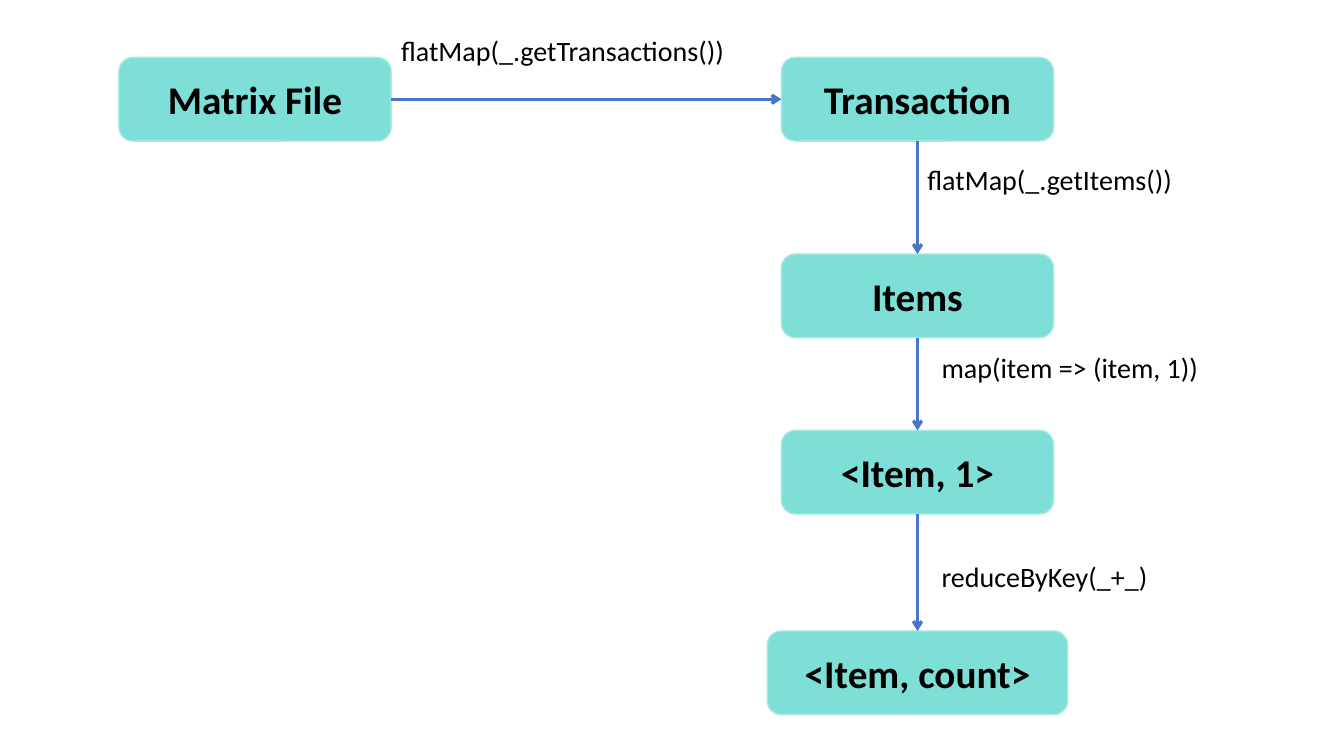
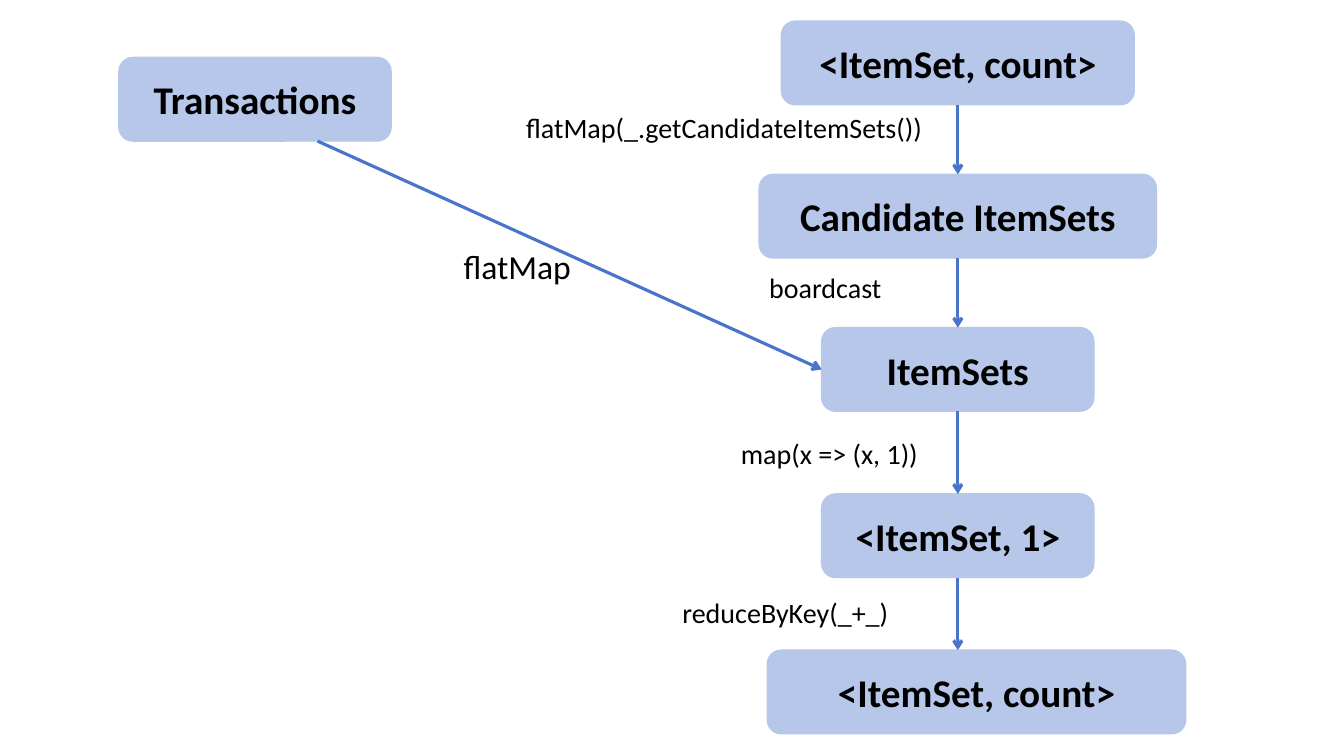
from itertools import pairwise

from pptx import Presentation
from pptx.dml.color import RGBColor
from pptx.enum.shapes import MSO_CONNECTOR, MSO_SHAPE
from pptx.enum.text import MSO_ANCHOR, PP_ALIGN
from pptx.oxml.ns import qn
from pptx.util import Inches, Pt
from lxml.etree import SubElement

FONT = "Calibri"
INK = "000000"
BLUE = "4874CB"
TALL = 0.83
TOP, BOTTOM, LEFT, RIGHT = 0, 2, 1, 3
tint = RGBColor.from_string


def write(shape, text, size, bold=False):
    frame = shape.text_frame
    frame.word_wrap = True
    run = frame.paragraphs[0].add_run()
    run.text = text
    run.font.name = FONT
    run.font.size = Pt(size)
    run.font.bold = bold
    run.font.color.rgb = tint(INK)


def arrow(slide, x1, y1, x2, y2):
    line = slide.shapes.add_connector(
        MSO_CONNECTOR.STRAIGHT, Inches(x1), Inches(y1), Inches(x2), Inches(y2))
    line.line.color.rgb = tint(BLUE)
    line.line.width = Pt(2.25)
    SubElement(line.line._get_or_add_ln(), qn("a:tailEnd"), type="arrow")
    SubElement(line._element.spPr, qn("a:effectLst"))
    return line


pages = [
    {
        "fill": "7DDFD7", "edge": "A9E9E4", "mid": 9.1,
        "boxes": [
            ("Matrix File", 1.18, 0.57, 2.7),
            ("Transaction", 7.75, 0.57, 2.7),
            ("Items", 7.75, 2.52, 2.7),
            ("<Item, 1>", 7.75, 4.27, 2.7),
            ("<Item, count>", 7.61, 6.26, 2.98),
        ],
        "feed": (3.88, 0.99, 1),
        "notes": [
            ("flatMap(_.getTransactions())", 3.88, 0.28, 3.94, 0.44, 20),
            ("flatMap(_.getItems())", 9.1, 1.56, 3.94, 0.44, 20),
            ("map(item => (item, 1))", 9.24, 3.43, 3.94, 0.44, 20),
            ("reduceByKey(_+_)", 9.24, 5.5, 3.94, 0.44, 20),
        ],
    },
    {
        "fill": "B6C7EA", "edge": "B6C7EA", "mid": 9.5,
        "boxes": [
            ("Transactions", 1.18, 0.57, 2.7),
            ("<ItemSet, count>", 7.75, 0.21, 3.5),
            ("Candidate ItemSets", 7.53, 1.73, 3.94),
            ("ItemSets", 8.15, 3.25, 2.7),
            ("<ItemSet, 1>", 8.15, 4.9, 2.7),
            ("<ItemSet, count>", 7.61, 6.45, 4.15),
        ],
        "feed": (3.15, 1.4, 3),
        "notes": [
            ("flatMap", 4.5, 2.39, 2.17, 0.68, 24),
            ("flatMap(_.getCandidateItemSets())", 5.12, 1.05, 4.73, 0.44, 20),
            ("boardcast", 7.53, 2.63, 1.62, 0.68, 20),
            ("map(x => (x, 1))", 7.25, 4.28, 2.17, 0.46, 20),
            ("reduceByKey(_+_)", 6.67, 5.86, 2.7, 0.46, 20),
        ],
    },
]

deck = Presentation()
deck.slide_width = Inches(13.33)
deck.slide_height = Inches(7.5)

for page in pages:
    slide = deck.slides.add_slide(deck.slide_layouts[6])
    mid = page["mid"]
    nodes = []
    for text, left, top, width in page["boxes"]:
        box = slide.shapes.add_shape(
            MSO_SHAPE.ROUNDED_RECTANGLE,
            Inches(left), Inches(top), Inches(width), Inches(TALL))
        box.shadow.inherit = False
        box.fill.solid()
        box.fill.fore_color.rgb = tint(page["fill"])
        box.line.color.rgb = tint(page["edge"])
        box.line.width = Pt(1)
        write(box, text, 28, True)
        box.text_frame.vertical_anchor = MSO_ANCHOR.MIDDLE
        box.text_frame.paragraphs[0].alignment = PP_ALIGN.CENTER
        nodes.append((box, left, top, width))

    for (upper, _, high, _), (lower, left, low, width) in pairwise(nodes[1:]):
        line = arrow(slide, mid, high + TALL, mid, low)
        line.begin_connect(upper, BOTTOM)
        if abs(left + width / 2 - mid) < 0.02:
            line.end_connect(lower, TOP)

    x, y, goal = page["feed"]
    box, left, top, width = nodes[goal]
    line = arrow(slide, x, y, left, top + TALL / 2)
    line.end_connect(box, LEFT)
    source, left, top, width = nodes[0]
    if abs(left + width - x) < 0.02:
        line.begin_connect(source, RIGHT)

    for text, left, top, width, height, size in page["notes"]:
        note = slide.shapes.add_textbox(
            Inches(left), Inches(top), Inches(width), Inches(height))
        write(note, text, size)

deck.save("out.pptx")
